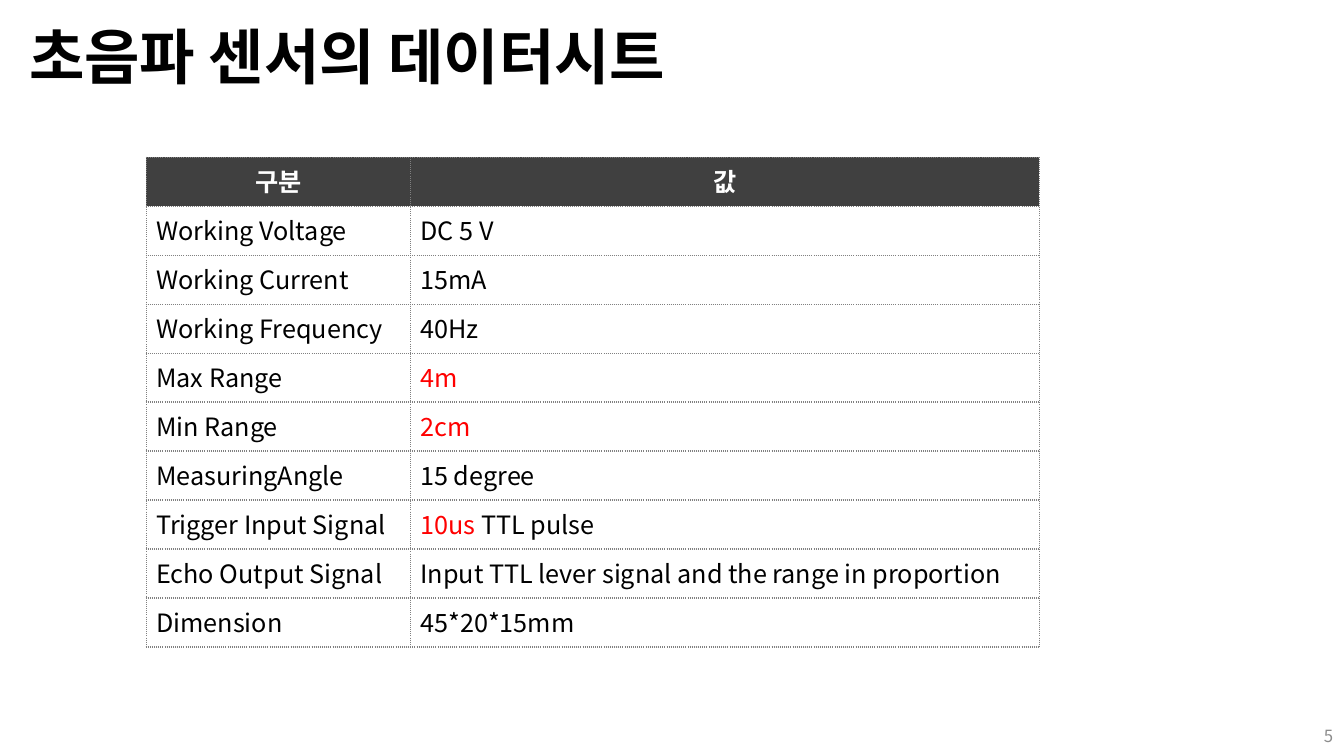
from dataclasses import dataclass

from lxml.etree import SubElement as Sub
from pptx import Presentation
from pptx.dml.color import RGBColor
from pptx.enum.text import MSO_ANCHOR as Anchor, PP_ALIGN as Align
from pptx.oxml.ns import qn
from pptx.util import Inches, Pt

FONT = "Noto Sans CJK KR"
BLACK, WHITE, RED = "000000", "FFFFFF", "FF0000"
DARK, GRAY, PALE = "404040", "808080", "8C8C8C"


@dataclass
class Spec:
    name: str
    value: str
    hot: str = ""  # red text ahead of the value


SPECS = [
    Spec("Working Voltage", "DC 5 V"),
    Spec("Working Current", "15mA"),
    Spec("Working Frequency", "40Hz"),
    Spec("Max Range", "", "4m"),
    Spec("Min Range", "", "2cm"),
    Spec("MeasuringAngle", "15 degree"),
    Spec("Trigger Input Signal", " TTL pulse", "10us"),
    Spec("Echo Output Signal", "Input TTL lever signal and the range in proportion"),
    Spec("Dimension", "45*20*15mm"),
]


def color(code: str) -> RGBColor:
    return RGBColor.from_string(code)


def write(frame, text: str, *, size: float = 18, ink: str = BLACK,
          bold: bool = False, align=Align.LEFT) -> None:
    """Add a run to the first paragraph of a text frame."""
    para = frame.paragraphs[0]
    para.alignment = align
    run = para.add_run()
    run.text = text
    font = run.font
    font.size, font.bold, font.name = Pt(size), bold, FONT
    font.color.rgb = color(ink)
    Sub(font._element, qn("a:ea"), typeface=FONT)


def add_box(slide, left: float, top: float, width: float, height: float):
    box = slide.shapes.add_textbox(*map(Inches, (left, top, width, height)))
    frame = box.text_frame
    frame.word_wrap = True
    frame.vertical_anchor = Anchor.MIDDLE
    return frame


def add_edges(cell) -> None:
    """Draw dotted borders on all four sides."""
    props = cell._tc.get_or_add_tcPr()
    for side in ("lnL", "lnR", "lnT", "lnB"):
        line = Sub(props, qn(f"a:{side}"), w=str(Pt(1)))
        fill = Sub(line, qn("a:solidFill"))
        Sub(fill, qn("a:srgbClr"), val=GRAY)
        Sub(line, qn("a:prstDash"), val="sysDot")


def add_grid(slide) -> None:
    rows = len(SPECS) + 1
    grid = slide.shapes.add_table(rows, 2, Inches(1.45), Inches(1.56),
                                  Inches(8.86), Inches(4.86)).table
    grid.horz_banding = grid.first_row = False
    for col, width in zip(grid.columns, (2.62, 6.24)):
        col.width = Inches(width)
    for cell in grid.iter_cells():
        add_edges(cell)
        cell.fill.background()

    # Header row
    for cell, text in zip(grid.rows[0].cells, ("구분", "값")):
        cell.fill.solid()
        cell.fill.fore_color.rgb = color(DARK)
        write(cell.text_frame, text, ink=WHITE, bold=True, align=Align.CENTER)

    # Body rows
    for row, spec in enumerate(SPECS, 1):
        write(grid.cell(row, 0).text_frame, spec.name)
        for text, ink in ((spec.hot, RED), (spec.value, BLACK)):
            if text:
                write(grid.cell(row, 1).text_frame, text, ink=ink)


def main() -> None:
    deck = Presentation()
    deck.slide_width, deck.slide_height = Inches(13.33), Inches(7.5)
    slide = deck.slides.add_slide(deck.slide_layouts[6])

    # Title
    title = add_box(slide, 0.19, 0.19, 12.93, 0.81)
    write(title, "초음파 센서의 데이터시트", size=43, bold=True)
    title.paragraphs[0].line_spacing = 0.9

    # Data sheet
    add_grid(slide)

    # Page number
    page = add_box(slide, 12.82, 7.1, 0.5, 0.4)
    write(page, "5", size=12, ink=PALE, align=Align.RIGHT)

    deck.save("out.pptx")


if __name__ == "__main__":
    main()
